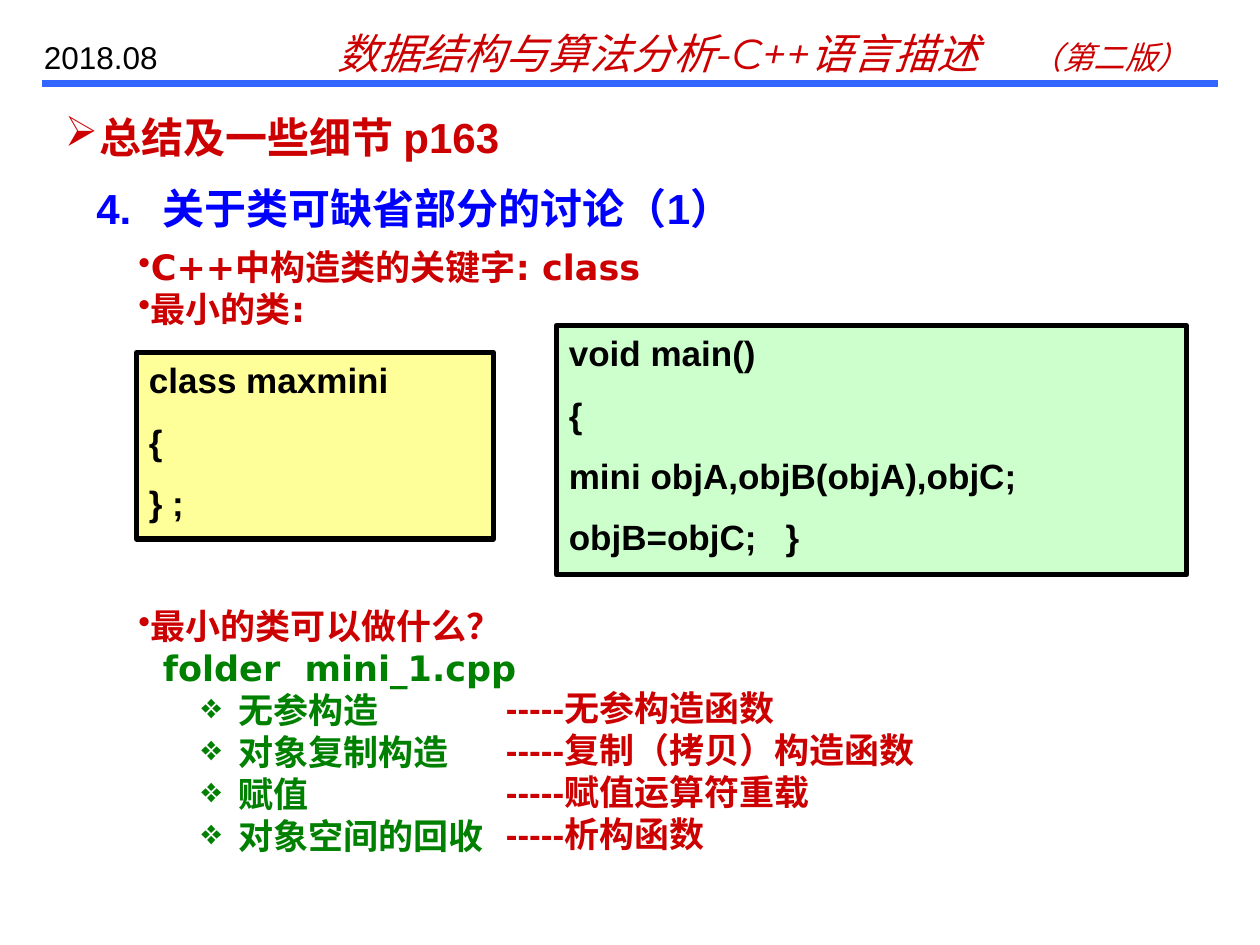
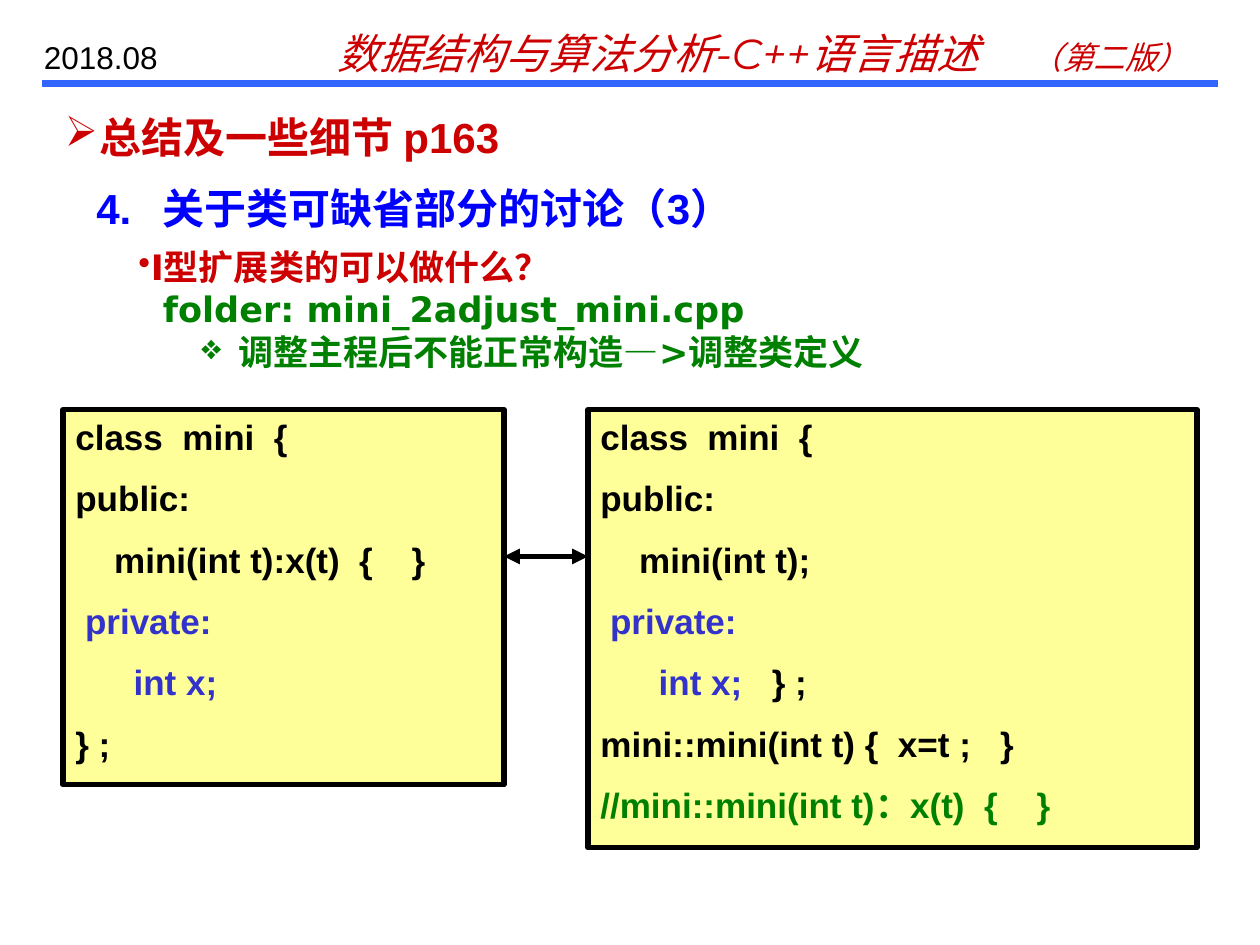
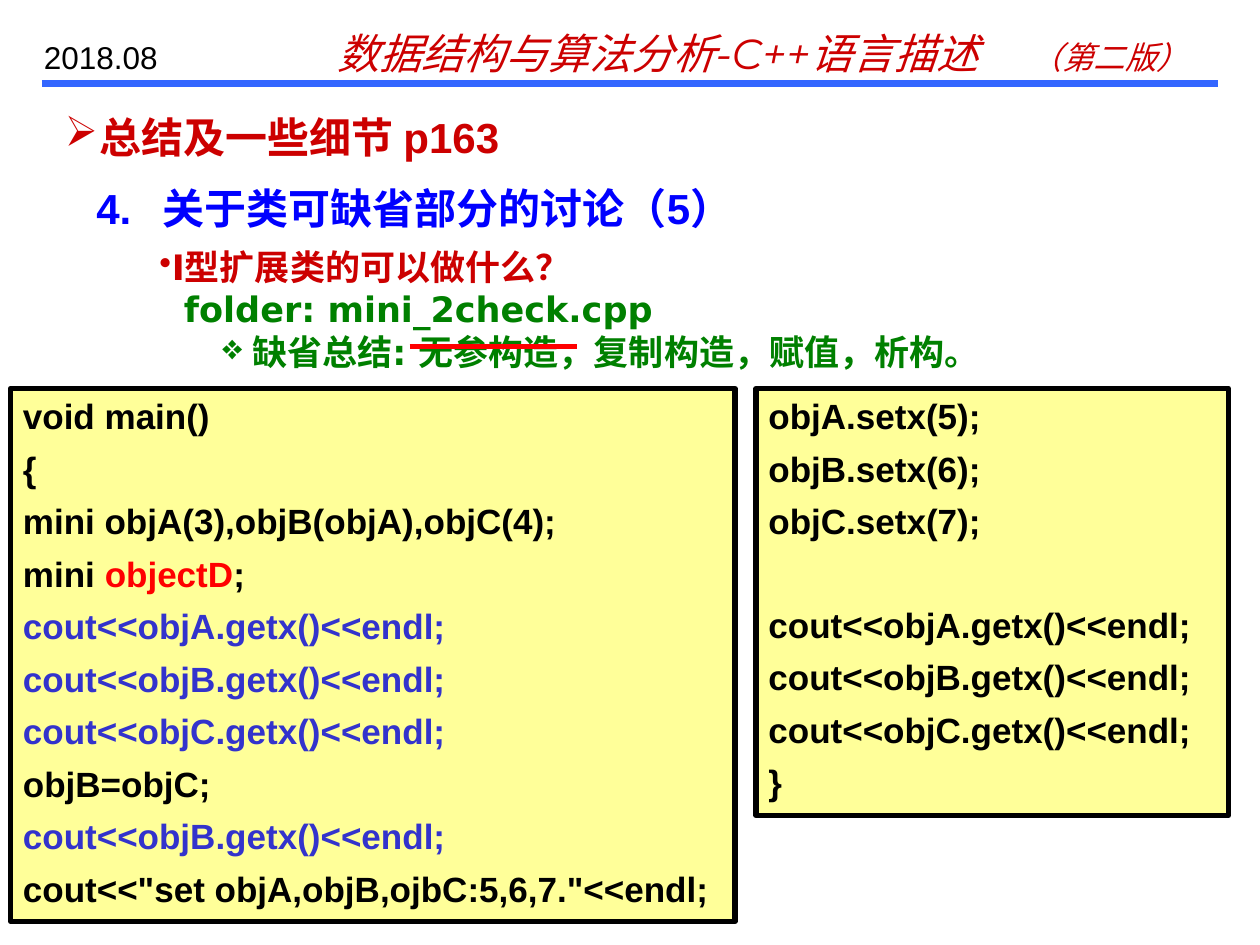
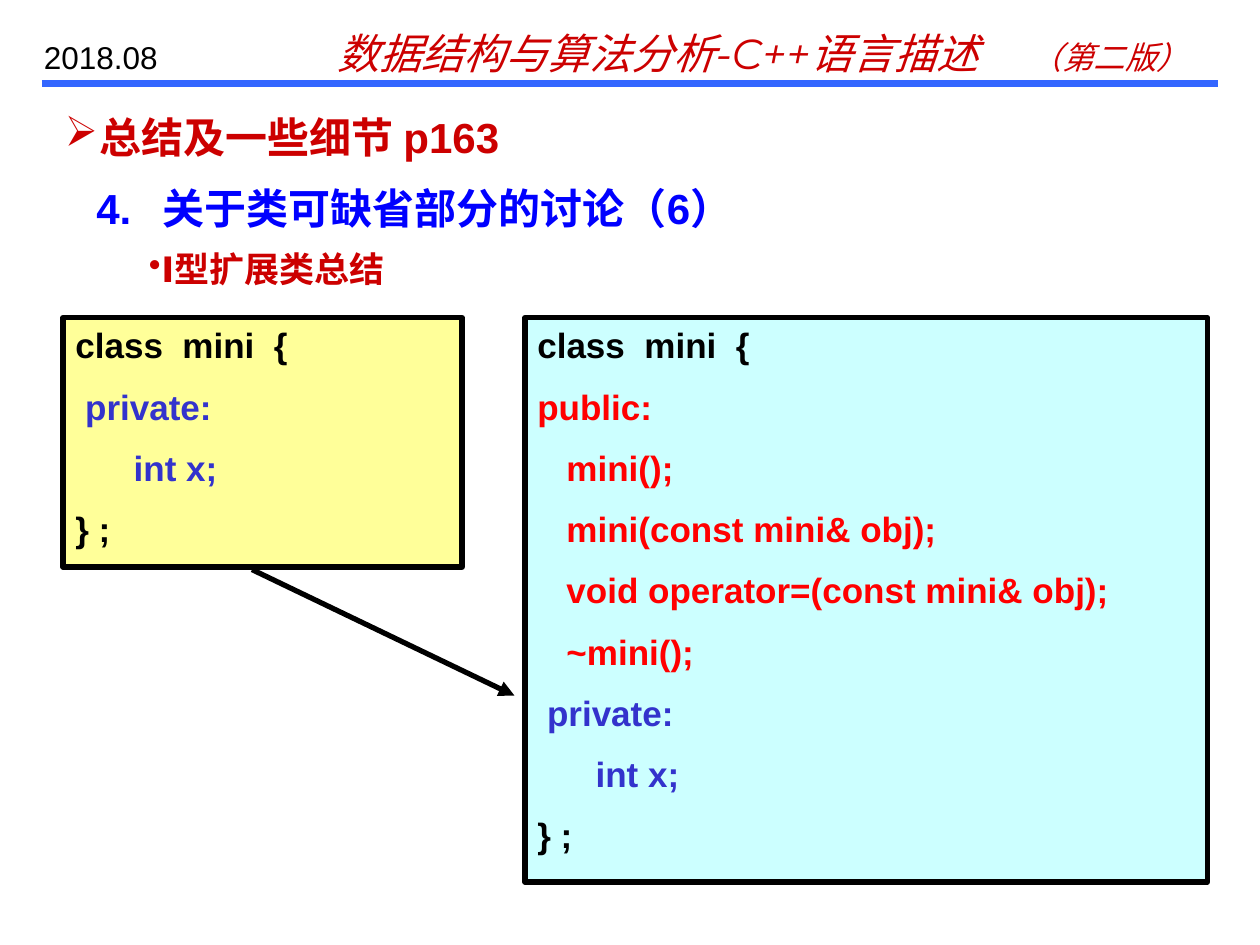
from dataclasses import dataclass

from lxml.etree import SubElement
from pptx import Presentation
from pptx.dml.color import RGBColor
from pptx.enum.lang import MSO_LANGUAGE_ID as Lang
from pptx.enum.shapes import MSO_CONNECTOR, MSO_SHAPE
from pptx.enum.text import MSO_ANCHOR
from pptx.oxml.ns import qn
from pptx.util import Pt


@dataclass(frozen=True)
class Theme:
    red: str = "CC0000"
    bright_red: str = "FF0000"
    blue: str = "0000FF"
    violet: str = "3333CC"
    green: str = "008000"
    black: str = "000000"
    rule: str = "3366FF"
    yellow_fill: str = "FFFF99"
    green_fill: str = "CCFFCC"
    cyan_fill: str = "CCFFFF"
    heading: int = 24
    body: int = 20
    small: int = 18
    line: int = 3
    sans: str = "Arial"
    point_font: str = "DejaVu Sans"
    banner_font: str = "Montserrat"


T = Theme()
LOOSE, TIGHT = 11, 6  # space between code lines
BLANK_LINE = 29       # one empty code line at the tight spacing


def style(r, color, size=T.body, font=T.sans, bold=True, italic=False):
    f = r.font
    f.name, f.size, f.bold, f.italic = font, Pt(size), bold, italic
    f.color.rgb = RGBColor.from_string(color)
    f.language_id = Lang.SIMPLIFIED_CHINESE


def indent(p, left, first=0, bullet=None, tab=None):
    """Set indents in points, with an optional bullet sign and tab stop."""
    pPr = p._p.get_or_add_pPr()
    pPr.set("marL", str(Pt(left)))
    pPr.set("indent", str(Pt(first)))
    if bullet:
        SubElement(pPr, qn("a:buChar")).set("char", bullet)
    if tab:
        stops = SubElement(pPr, qn("a:tabLst"))
        SubElement(stops, qn("a:tab"), pos=str(Pt(tab)), algn="l")


def paragraphs(tf, count):
    """Return the first paragraph of a frame and as many new ones as needed."""
    return [tf.paragraphs[0]] + [tf.add_paragraph() for _ in range(count - 1)]


def add_text(s, box, *lines, **look):
    """Add a text box of (text, colour) lines and return its paragraphs."""
    tf = s.shapes.add_textbox(*map(Pt, box)).text_frame
    tf.word_wrap = True
    ps = paragraphs(tf, len(lines))
    for p, (text, color) in zip(ps, lines):
        p.text = text
        style(p.runs[0], color, **look)
    return ps


def add_line(s, start, end, color=T.black, width=T.line, head=False, tail=False):
    """Draw a straight line; head and tail put arrowheads at start and end."""
    c = s.shapes.add_connector(MSO_CONNECTOR.STRAIGHT, *map(Pt, start + end))
    c.line.color.rgb = RGBColor.from_string(color)
    c.line.width = Pt(width)
    ln = c.line._get_or_add_ln()
    for tag, wanted in (("a:headEnd", head), ("a:tailEnd", tail)):
        if wanted:
            SubElement(ln, qn(tag), type="triangle")
    SubElement(c._element.spPr, qn("a:effectLst"))


def add_code(s, box, lines, fill=T.yellow_fill, gap=LOOSE):
    """Add a framed code box; a line is black text or a list of (text, colour)."""
    sp = s.shapes.add_shape(MSO_SHAPE.RECTANGLE, *map(Pt, box))
    sp.shadow.inherit = False
    sp.fill.solid()
    sp.fill.fore_color.rgb = RGBColor.from_string(fill)
    sp.line.color.rgb = RGBColor.from_string(T.black)
    sp.line.width = Pt(T.line)
    tf = sp.text_frame
    tf.word_wrap = True
    tf.vertical_anchor = MSO_ANCHOR.TOP
    ps = paragraphs(tf, len(lines))
    for i, (p, line) in enumerate(zip(ps, lines)):
        indent(p, 0)
        p.alignment = 1
        if i:
            p.space_before = Pt(gap)
        for text, color in [(line, T.black)] if isinstance(line, str) else line:
            r = p.add_run()
            r.text = text
            style(r, color)
    return ps


def add_points(s, box, points, sub_hang=21):
    """Add a list of (kind, text): red points, green file names, green subs."""
    kinds = {
        "point": (T.red, 7, -7, "•"),
        "file": (T.green, 14, 0, None),
        "sub": (T.green, 36 + sub_hang, -sub_hang, "❖"),
    }
    lines = [(text, kinds[kind][0]) for kind, text in points]
    ps = add_text(s, box, *lines, font=T.point_font)
    for p, (kind, _) in zip(ps, points):
        indent(p, *kinds[kind][1:])


def add_page(prs, number):
    """Add a slide with the banner, the title and the numbered heading."""
    s = prs.slides.add_slide(prs.slide_layouts[6])
    add_line(s, (24, 48), (696, 48), T.rule, 4)
    banner, = add_text(s, (186, 12, 504, 36),
                       ("数据结构与算法分析-C++语言描述\t", T.red),
                       size=T.heading, font=T.banner_font, bold=False, italic=True)
    indent(banner, 0, tab=391)
    r = banner.add_run()
    r.text = "（第二版）"
    style(r, T.red, T.small, T.banner_font, False, True)
    add_text(s, (18, 18, 102, 29), ("2018.08", T.black), size=T.small, bold=False)
    title, = add_text(s, (30, 60, 672, 36), ("总结及一些细节 p163", T.red),
                      size=T.heading)
    indent(title, 20, -20, "➢")
    heading, = add_text(s, (48, 101, 660, 36),
                        (f"4.\t关于类可缺省部分的讨论（{number}）", T.blue),
                        size=T.heading)
    indent(heading, 38, -38)
    return s


def private_part():
    return [[(" private:", T.violet)], [("      int x;", T.violet)]]


def print_x(name):
    return f"cout<<{name}.getx()<<endl;"


def smallest_class(prs):
    s = add_page(prs, 1)
    add_points(s, (72, 137, 696, 55), [
        ("point", "C++中构造类的关键字: class"),
        ("point", "最小的类:"),
    ])
    add_code(s, (78, 201.5, 204, 106.5), ["class maxmini", "{", "} ;"])
    add_points(s, (72, 342, 330, 151), [
        ("point", "最小的类可以做什么？"),
        ("file", "folder  mini_1.cpp"),
        ("sub", "无参构造"),
        ("sub", "对象复制构造"),
        ("sub", "赋值"),
        ("sub", "对象空间的回收"),
    ])
    functions = ["无参构造函数", "复制（拷贝）构造函数", "赋值运算符重载", "析构函数"]
    add_text(s, (282, 389, 300, 103), *[("-----" + f, T.red) for f in functions])
    add_code(s, (318, 186, 360, 142.5),
             ["void main()", "{", "mini objA,objB(objA),objC;", "objB=objC;   }"],
             T.green_fill)


def adjusted_class(prs):
    s = add_page(prs, 3)
    add_points(s, (72, 137, 696, 79), [
        ("point", "I型扩展类的可以做什么？"),
        ("file", "folder: mini_2adjust_mini.cpp"),
        ("sub", "调整主程后不能正常构造—>调整类定义"),
    ])
    opening = ["class  mini  {", "public:"]
    add_code(s, (36, 234, 252, 214.5),
             opening + ["    mini(int t):x(t)  {    }"] + private_part() + ["} ;"])
    add_code(s, (336, 234, 348, 250.5), opening + [
        "    mini(int t);",
        [(" private:", T.violet)],
        [("      int x;   ", T.violet), ("} ;", T.black)],
        "mini::mini(int t) {  x=t ;   }",
        [("//mini::mini(int t)：x(t)  {    }", T.green)],
    ])
    add_line(s, (288, 318), (336, 318), head=True, tail=True)


def check_program(prs):
    s = add_page(prs, 5)
    add_points(s, (84, 137, 696, 79), [
        ("point", "I型扩展类的可以做什么？"),
        ("file", "folder: mini_2check.cpp"),
        ("sub", "缺省总结: 无参构造，复制构造，赋值，析构。"),
    ], sub_hang=17)
    objects = ["objA", "objB", "objC"]
    add_code(s, (6, 222, 414, 304.5), [
        "void main()",
        "{",
        "mini objA(3),objB(objA),objC(4);",
        [("mini ", T.black), ("objectD", T.bright_red), (";", T.black)],
        *[[(print_x(name), T.violet)] for name in objects],
        "objB=objC;",
        [(print_x("objB"), T.violet)],
        'cout<<"set objA,objB,ojbC:5,6,7."<<endl;',
    ], gap=TIGHT)
    add_line(s, (234, 198), (330, 198), T.bright_red)
    setters = [f"{name}.setx({x});" for x, name in enumerate(objects, 5)]
    ps = add_code(s, (432, 222, 270, 244),
                  setters + [print_x(name) for name in objects] + ["}"], gap=TIGHT)
    ps[len(setters)].space_before = Pt(TIGHT + BLANK_LINE)


def extended_class(prs):
    s = add_page(prs, 6)
    add_code(s, (36, 181.5, 228, 142.5), ["class  mini  {"] + private_part() + ["} ;"])
    members = ["public:", "   mini();", "   mini(const mini& obj);",
               "   void operator=(const mini& obj);", "   ~mini();"]
    add_code(s, (300, 181.5, 390, 322.5),
             ["class  mini  {"] + [[(m, T.bright_red)] for m in members]
             + private_part() + ["} ;"], T.cyan_fill)
    add_line(s, (144, 325.5), (294, 397.5), tail=True)
    add_points(s, (78, 138, 696, 31), [("point", "I型扩展类总结")])


def main():
    prs = Presentation()
    prs.slide_width, prs.slide_height = Pt(720), Pt(540)
    for build in (smallest_class, adjusted_class, check_program, extended_class):
        build(prs)
    prs.save("out.pptx")


if __name__ == "__main__":
    main()
